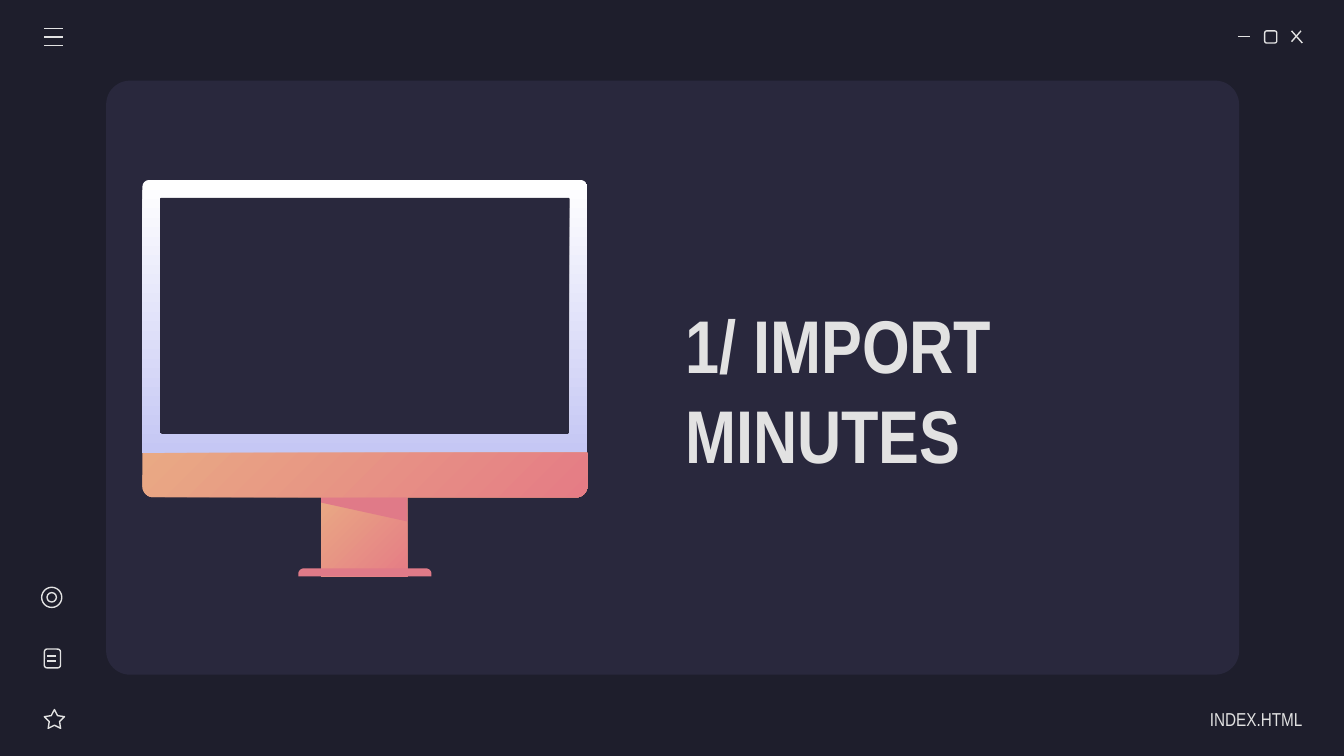
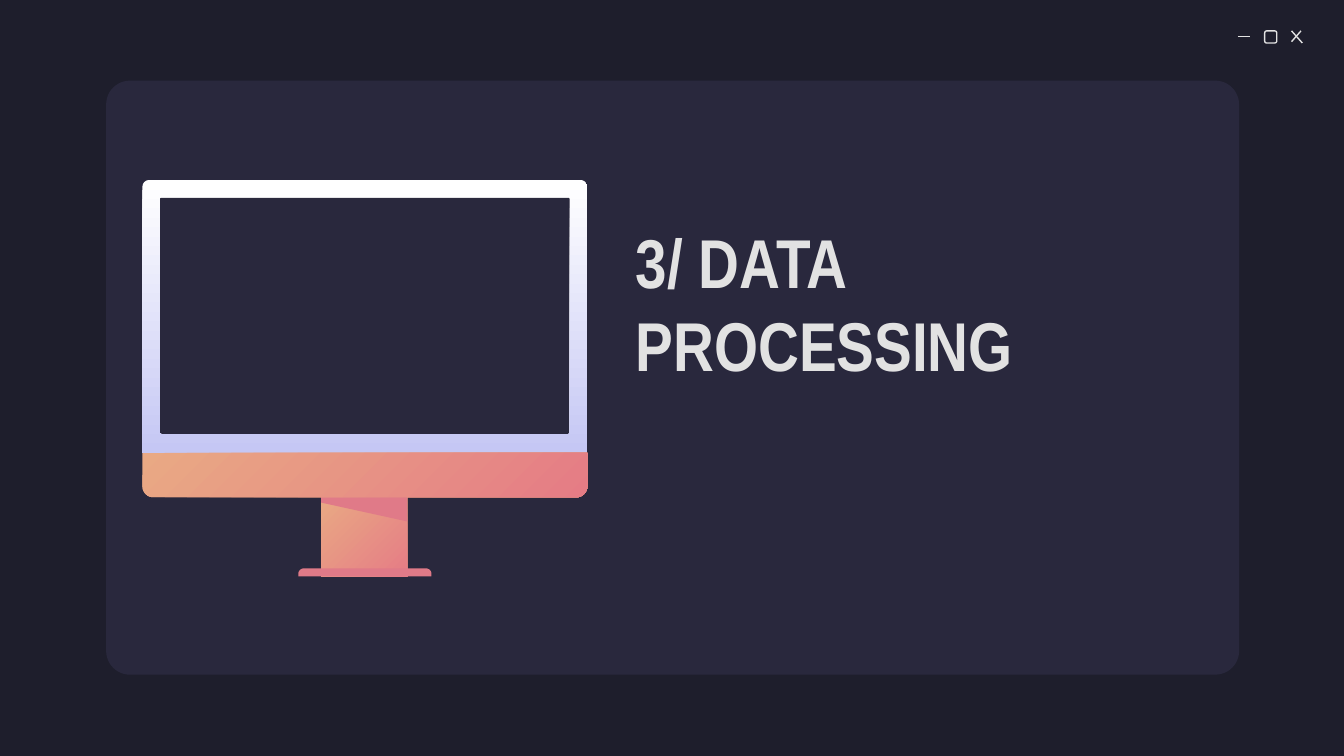
from collections import namedtuple
from math import cos, pi, sin

from lxml.etree import SubElement
from pptx import Presentation
from pptx.dml.color import RGBColor
from pptx.enum.shapes import MSO_CONNECTOR, MSO_SHAPE
from pptx.enum.text import MSO_ANCHOR, MSO_AUTO_SIZE, PP_ALIGN
from pptx.oxml.ns import qn
from pptx.util import Inches, Pt

Box = namedtuple("Box", "left top width height")

NIGHT = RGBColor(0x1E, 0x1E, 0x2C)
PANEL = RGBColor(0x29, 0x28, 0x3D)
SILVER = RGBColor(0xE2, 0xE2, 0xE2)
WHITE = RGBColor(0xFF, 0xFF, 0xFF)
LAVENDER = RGBColor(0xC5, 0xC7, 0xF4)
PEACH = RGBColor(0xE9, 0xA9, 0x84)
CORAL = RGBColor(0xE5, 0x7C, 0x85)
ROSE = RGBColor(0xE0, 0x7A, 0x88)

FONT = "Arial Narrow"
LINE_WIDTH = Pt(0.75)
DOWN, DIAGONAL = 270, 315

PANEL_BOX = Box(0.79, 0.6, 8.43, 4.42)
CONTROLS_BOX = Box(9.21, 0.23, 0.48, 0.09)
MENU_BOX = Box(0.33, 0.21, 0.14, 0.13)
ICONS_BOX = Box(0.31, 4.37, 0.17, 1.05)
FOOTER_BOX = Box(8.52, 5.2, 1.17, 0.3)
MONITOR_BOX = Box(1.06, 1.34, 3.31, 2.95)


def add_stroke(shapes, x1, y1, x2, y2):
    stroke = shapes.add_connector(
        MSO_CONNECTOR.STRAIGHT, *map(Inches, (x1, y1, x2, y2)))
    stroke.line.color.rgb = SILVER
    stroke.line.width = LINE_WIDTH
    SubElement(stroke.element.spPr, qn("a:effectLst"))


def add_outline(shapes, kind, box):
    """Add an unfilled preset shape with a thin light line."""
    shape = shapes.add_shape(kind, *map(Inches, box))
    shape.shadow.inherit = False
    shape.fill.background()
    shape.line.color.rgb = SILVER
    shape.line.width = LINE_WIDTH
    return shape


def rounded_points(left, top, right, bottom, top_radius=0, bottom_radius=0):
    """Return the clockwise outline of a rectangle with rounded corners."""
    corners = [
        (left + top_radius, top + top_radius, top_radius, pi),
        (right - top_radius, top + top_radius, top_radius, 1.5 * pi),
        (right - bottom_radius, bottom - bottom_radius, bottom_radius, 0),
        (left + bottom_radius, bottom - bottom_radius, bottom_radius, pi / 2),
    ]
    points = []
    for x, y, radius, start in corners:
        steps = 8 if radius else 0
        for step in range(steps + 1):
            angle = start + step * pi / 16
            points.append((x + radius * cos(angle), y + radius * sin(angle)))
    return points


def add_freeform(shapes, box, contours, colors, angle=DOWN):
    """Fill contours, given relative to the box, with one colour or a gradient."""
    placed = [[(Inches(box.left + x), Inches(box.top + y)) for x, y in contour]
              for contour in contours]
    builder = shapes.build_freeform(*placed[0][0])
    builder.add_line_segments(placed[0][1:])
    for contour in placed[1:]:
        builder.move_to(*contour[0])
        builder.add_line_segments(contour[1:])
    shape = builder.convert_to_shape()
    shape.shadow.inherit = False
    shape.line.fill.background()
    if len(colors) == 1:
        shape.fill.solid()
        shape.fill.fore_color.rgb = colors[0]
    else:
        shape.fill.gradient()
        shape.fill.gradient_angle = angle
        for stop, color in zip(shape.fill.gradient_stops, colors):
            stop.color.rgb = color


def add_panel(page, box):
    panel = page.shapes.add_shape(MSO_SHAPE.ROUNDED_RECTANGLE, *map(Inches, box))
    panel.adjustments[0] = 0.04
    panel.shadow.inherit = False
    panel.fill.solid()
    panel.fill.fore_color.rgb = PANEL
    panel.line.fill.background()


def add_window_controls(page, box):
    """Draw the minimise, maximise and close signs."""
    shapes = page.shapes.add_group_shape().shapes
    left, top, side = box.left, box.top, box.height
    add_stroke(shapes, left, top + 0.04, left + side, top + 0.04)
    add_outline(shapes, MSO_SHAPE.ROUNDED_RECTANGLE,
                Box(left + 0.2, top, side, side))
    add_stroke(shapes, left + 0.4, top, left + 0.48, top + side)
    add_stroke(shapes, left + 0.47, top, left + 0.4, top + 0.08)


def add_menu(page, box):
    shapes = page.shapes.add_group_shape().shapes
    for row in range(3):
        y = box.top + row * box.height / 2
        add_stroke(shapes, box.left, y, box.left + box.width, y)


def add_side_icons(page, box):
    """Draw the ring, the note and the star down the left edge."""
    shapes = page.shapes.add_group_shape().shapes
    left, top = box.left, box.top
    star = add_outline(shapes, MSO_SHAPE.STAR_5_POINT,
                       Box(left + 0.02, top + 0.91, 0.15, 0.14))
    star.adjustments[0] = 0.254
    add_outline(shapes, MSO_SHAPE.ROUNDED_RECTANGLE,
                Box(left + 0.02, top + 0.46, 0.12, 0.14))
    for y in (top + 0.51, top + 0.55):
        add_stroke(shapes, left + 0.04, y, left + 0.11, y)
    for inset in (0, 0.04):
        side = 0.15 - 2 * inset
        add_outline(shapes, MSO_SHAPE.OVAL,
                    Box(left + inset, top + inset, side, side))


def set_text(shape, text, size, align, bold=False, right_inset=0.1):
    frame = shape.text_frame
    frame.word_wrap = True
    frame.auto_size = MSO_AUTO_SIZE.NONE
    frame.vertical_anchor = MSO_ANCHOR.MIDDLE
    frame.margin_left = frame.margin_top = frame.margin_bottom = Inches(0.1)
    frame.margin_right = Inches(right_inset)
    frame.text = text
    para = frame.paragraphs[0]
    para.alignment = align
    font = para.runs[0].font
    font.name, font.size, font.bold = FONT, Pt(size), bold
    font.color.rgb = SILVER


def add_footer(page, box, text):
    footer = page.shapes.add_textbox(*map(Inches, box))
    set_text(footer, text, 10, PP_ALIGN.RIGHT, right_inset=0)


def place_title(page, box, text, size):
    """Format the title placeholder and bring it in front of the panel."""
    title = page.shapes.title
    title.left, title.top, title.width, title.height = map(Inches, box)
    set_text(title, text, size, PP_ALIGN.LEFT, bold=True)
    title.element.getparent().append(title.element)


def add_monitor(page, box):
    shapes = page.shapes.add_group_shape().shapes
    width, height = box.width, box.height
    frame_bottom, chin_bottom, base_top = 2.03, 2.36, height - 0.06
    stand_left, stand_right = 1.33, 1.97
    frame = rounded_points(0, 0, width, frame_bottom, 0.05)
    screen = rounded_points(0.13, 0.13, width - 0.13, 1.89, 0.01, 0.01)
    chin = rounded_points(0, frame_bottom, width, chin_bottom, 0, 0.08)
    stand = rounded_points(stand_left, chin_bottom, stand_right, height)
    base = rounded_points(1.16, base_top, 2.15, height, 0.04)
    shade = [(stand_left, chin_bottom), (stand_left, chin_bottom + 0.04),
             (stand_right, chin_bottom + 0.18), (stand_right, chin_bottom)]
    add_freeform(shapes, box, [frame, screen[::-1]], [WHITE, LAVENDER])
    for part in (chin, stand):
        add_freeform(shapes, box, [part], [PEACH, CORAL], DIAGONAL)
    for part in (base, shade):
        add_freeform(shapes, box, [part], [ROSE])


def add_section_page(deck, title, title_box, title_size, footer=None):
    """Add a section page; one with a footer also has the menu and side icons."""
    page = deck.slides.add_slide(deck.slide_layouts[5])
    page.background.fill.solid()
    page.background.fill.fore_color.rgb = NIGHT
    add_panel(page, PANEL_BOX)
    add_window_controls(page, CONTROLS_BOX)
    if footer:
        add_menu(page, MENU_BOX)
        add_side_icons(page, ICONS_BOX)
        add_footer(page, FOOTER_BOX, footer)
    place_title(page, title_box, title, title_size)
    add_monitor(page, MONITOR_BOX)


def main():
    deck = Presentation()
    deck.slide_width = Inches(10)
    deck.slide_height = deck.slide_width * 9 // 16
    add_section_page(deck, "1/ IMPORT MINUTES", Box(5, 2.06, 4.15, 1.66), 40,
                     footer="INDEX.HTML")
    add_section_page(deck, "3/ DATA PROCESSING", Box(4.63, 1.42, 4.45, 1.66), 37)
    deck.save("out.pptx")


if __name__ == "__main__":
    main()
